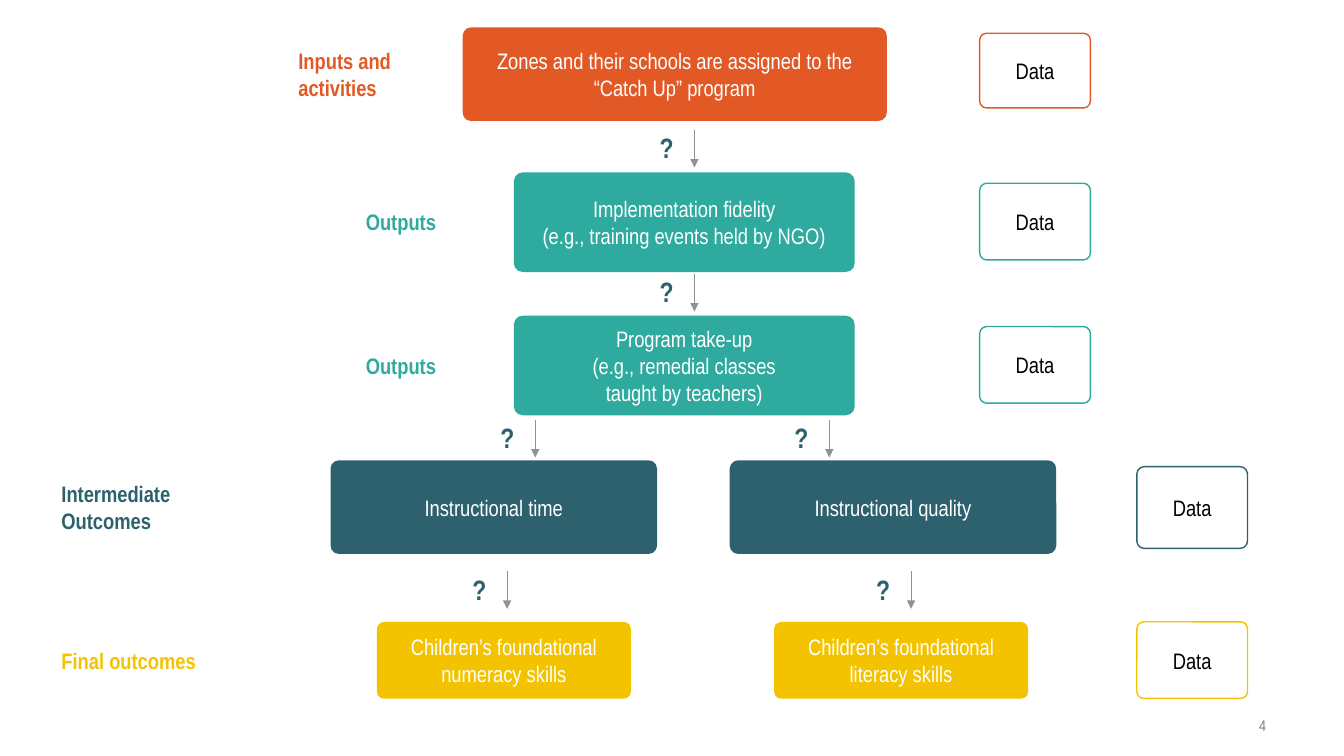
from lxml import etree
from pptx import Presentation
from pptx.dml.color import RGBColor
from pptx.enum.shapes import MSO_CONNECTOR, MSO_SHAPE
from pptx.enum.text import MSO_ANCHOR, PP_ALIGN
from pptx.oxml.ns import qn
from pptx.util import Cm, Pt

ROUNDED = MSO_SHAPE.ROUNDED_RECTANGLE
STRAIGHT = MSO_CONNECTOR.STRAIGHT
MIDDLE = MSO_ANCHOR.MIDDLE
LEFT, CENTER, RIGHT = PP_ALIGN.LEFT, PP_ALIGN.CENTER, PP_ALIGN.RIGHT

ORANGE, TEAL, NAVY, YELLOW = "E35925", "2FAA9F", "2D616E", "F4C300"
WHITE, BLACK, GRAY, ARROW_GRAY = "FFFFFF", "000000", "7F7F7F", "919191"

DATA_WIDTH = 2.79
ARROW_LENGTH = 0.94

# colour, middle of the row,
# label (text, left, width, height), step size (width, height),
# steps (left, text), data box (left, top, height)
ROWS = [
    (ORANGE, 1.87, ("Inputs and activities", 7.52, 3.58, 1.63), (10.69, 2.36),
     [(11.66, "Zones and their schools are assigned to the “Catch Up” program")],
     (24.69, 0.84, 1.88)),
    (TEAL, 5.6, ("Outputs", 9.22, 3.58, 0.94), (8.59, 2.51),
     [(12.95, "Implementation fidelity\v(e.g., training events held by NGO)")],
     (24.69, 4.62, 1.93)),
    (TEAL, 9.21, ("Outputs", 9.22, 3.58, 0.94), (8.59, 2.51),
     [(12.95, "Program take-up\v(e.g., remedial classes\vtaught by teachers)")],
     (24.69, 8.23, 1.93)),
    (NAVY, 12.78, ("Intermediate Outcomes", 1.55, 4.88, 1.63), (8.23, 2.36),
     [(8.33, "Instructional time"), (18.39, "Instructional quality")],
     (28.65, 11.76, 2.06)),
    (YELLOW, 16.64, ("Final outcomes", 1.55, 6.78, 0.94), (6.4, 1.93),
     [(9.5, "Children’s foundational numeracy skills"),
      (19.51, "Children’s foundational literacy skills")],
     (28.65, 15.67, 1.93)),
]

# x and top of each arrow
ARROWS = [(17.5, 3.28), (17.5, 6.91), (13.49, 10.59), (20.9, 10.59),
          (12.78, 14.4), (22.96, 14.4)]


def rgb(value):
    return RGBColor.from_string(value)


class Page:
    font = "Arial Narrow"

    def __init__(self, slide):
        self.shapes = slide.shapes

    def set_text(self, shape, text, color, size, align, bold=False):
        frame = shape.text_frame
        frame.word_wrap = True
        frame.text = text
        for paragraph in frame.paragraphs:
            paragraph.alignment = align
            for span in paragraph.runs:
                span.font.name = self.font
                span.font.size = Pt(size)
                span.font.bold = bold
                span.font.color.rgb = rgb(color)

    def text(self, left, top, width, height, text, color, size=16,
             align=LEFT, bold=True, side_inset=0.25):
        box = self.shapes.add_textbox(Cm(left), Cm(top), Cm(width), Cm(height))
        box.text_frame.margin_left = box.text_frame.margin_right = Cm(side_inset)
        self.set_text(box, text, color, size, align, bold)

    def box(self, left, top, width, height, text, color, filled=True):
        """Add a rounded box, either filled or only outlined in the colour."""
        box = self.shapes.add_shape(ROUNDED, Cm(left), Cm(top), Cm(width), Cm(height))
        box.adjustments[0] = 0.09
        box.shadow.inherit = False
        if filled:
            box.fill.solid()
            box.fill.fore_color.rgb = rgb(color)
            box.line.fill.background()
        else:
            box.fill.background()
            box.line.color.rgb = rgb(color)
            box.line.width = Pt(1)
        box.text_frame.vertical_anchor = MIDDLE
        self.set_text(box, text, WHITE if filled else BLACK, 16, CENTER)

    def arrow(self, x, top):
        arrow = self.shapes.add_connector(
            STRAIGHT, Cm(x), Cm(top), Cm(x), Cm(top + ARROW_LENGTH))
        arrow.line.color.rgb = rgb(ARROW_GRAY)
        arrow.line.width = Pt(0.75)
        properties = arrow.element.spPr
        etree.SubElement(properties.find(qn("a:ln")), qn("a:tailEnd"), type="triangle")
        etree.SubElement(properties, qn("a:effectLst"))

    def question(self, x, top):
        """Add an arrow with a question mark on its left."""
        self.text(x - 1.41, top - 0.11, 1.42, 1.12, "?", NAVY, 20, CENTER)
        self.arrow(x, top)


def main():
    deck = Presentation()
    deck.slide_width, deck.slide_height = Cm(33.87), Cm(19.05)
    page = Page(deck.slides.add_slide(deck.slide_layouts[6]))

    for color, middle, label, size, steps, data in ROWS:
        label_text, label_left, label_width, label_height = label
        page.text(label_left, middle - label_height / 2, label_width, label_height,
                  label_text, color, side_inset=0)
        width, height = size
        for left, step_text in steps:
            page.box(left, middle - height / 2, width, height, step_text, color)
        data_left, data_top, data_height = data
        page.box(data_left, data_top, DATA_WIDTH, data_height, "Data", color, filled=False)

    for x, top in ARROWS:
        page.question(x, top)

    page.text(29.01, 17.91, 3.15, 0.61, "4", GRAY, 11, RIGHT, bold=False)
    deck.save("out.pptx")


if __name__ == "__main__":
    main()
